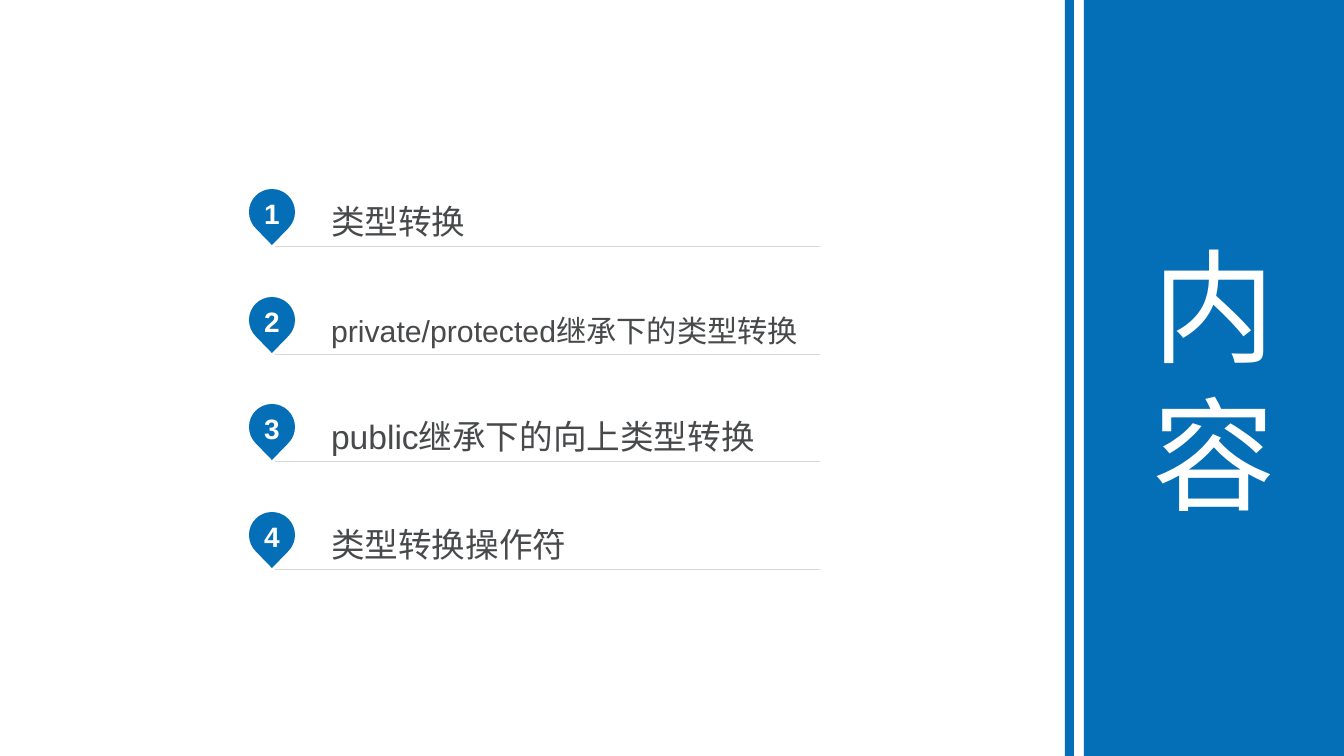
from math import cos, radians, sin, tan

from lxml import etree
from pptx import Presentation
from pptx.dml.color import RGBColor
from pptx.enum.shapes import MSO_SHAPE
from pptx.enum.text import MSO_ANCHOR, PP_ALIGN
from pptx.oxml.ns import qn
from pptx.util import Pt

RECT = MSO_SHAPE.RECTANGLE
MIDDLE = MSO_ANCHOR.MIDDLE
LEFT, CENTER = PP_ALIGN.LEFT, PP_ALIGN.CENTER

WIDE, HIGH = 1344, 756
SCALE = 12192000 / WIDE
COLORS = {"blue": "046FB6", "white": "FFFFFF", "text": "47494B", "rule": "D7D7D7"}

ITEMS = [
    ("类型转换", 24, 1.2),
    ("private/protected继承下的类型转换", 21.6, 1.3),
    ("public继承下的向上类型转换", 24, 1.2),
    ("类型转换操作符", 24, 1.2),
]
TOP, PITCH = 189, 215  # the pitch spans two rows
PIN_X, RADIUS, TIP = 272, 23, 33
RULE_X, RULE_END, ROW = 275, 820, 55
ARCS = {0: (90, 0), 1: (0, -45), 4: (225, 180), 5: (180, 90)}  # by segment number


def px(n):
    return round(n * SCALE)


def write(shape, text, size, color, align, insets, bold=False, spacing=None):
    """Put one styled paragraph in a shape; insets are left, top, right, bottom."""
    frame = shape.text_frame
    frame.word_wrap = True
    frame.vertical_anchor = MIDDLE
    (frame.margin_left, frame.margin_top,
     frame.margin_right, frame.margin_bottom) = map(px, insets)
    frame.text = text
    para = frame.paragraphs[0]
    para.alignment = align
    para.line_spacing = spacing
    font = para.runs[0].font
    font.name, font.size, font.bold = "Arial", Pt(size), bold
    font.color.rgb = RGBColor.from_string(COLORS[color])


deck = Presentation()
deck.slide_width, deck.slide_height = px(WIDE), px(HIGH)
shapes = deck.slides.add_slide(deck.slide_layouts[6]).shapes
blue = []

# Corners of a pin, measured from the centre of its round head
knots = [(RADIUS * cos(radians(a)), -RADIUS * sin(radians(a)))
         for a in (90, 0, -45, 225, 180, 90)]
knots.insert(3, (0, TIP))

for i, (label, size, spacing) in enumerate(ITEMS):
    top = TOP + (i * PITCH + 1) // 2
    spots = [(px(PIN_X + x), px(top + RADIUS + y)) for x, y in knots]
    path = shapes.build_freeform(*spots[0])
    path.add_line_segments(spots[1:], close=True)
    pin = path.convert_to_shape()

    # Bend the sides of the head into arcs
    sides = list(pin._element.iter(qn("a:lnTo")))
    for n, (start, end) in ARCS.items():
        reach = 4 / 3 * tan(radians(start - end) / 4) * RADIUS
        curve = etree.Element(qn("a:cubicBezTo"))
        for angle, (x, y), pull in ((start, knots[n], reach), (end, knots[n + 1], -reach)):
            etree.SubElement(curve, qn("a:pt"),
                             x=str(px(RADIUS + x + pull * sin(radians(angle)))),
                             y=str(px(RADIUS + y + pull * cos(radians(angle)))))
        curve.append(sides[n][0])
        sides[n].getparent().replace(sides[n], curve)
    write(pin, str(i + 1), 20, "white", CENTER, (10, 5, 10, 12), bold=True)
    blue.append(pin)

    # The row is outlined only along its base; a bare point sets its top
    left, right = px(RULE_X), px(RULE_END)
    roof, base = px(top + 2), px(top + 2 + ROW)
    path = shapes.build_freeform(left, base)
    path.add_line_segments([(right, base), (left, base)], close=True)
    path.move_to(left, roof)
    path.add_line_segments([(left, roof)], close=True)
    row = path.convert_to_shape()
    row.shadow.inherit = False
    row.fill.background()
    row.line.color.rgb = RGBColor.from_string(COLORS["rule"])
    row.line.width = Pt(0.25)
    write(row, label, size, "text", LEFT, (56, 0, 0, 3), spacing=spacing)

panel = shapes.add_shape(RECT, px(1084), 0, px(260), px(HIGH))
write(panel, "内容", 88, "white", CENTER, (40, 5, 40, 5))
stripe = shapes.add_shape(RECT, px(1065), 0, px(9), px(HIGH))

for shape in blue + [panel, stripe]:
    shape.shadow.inherit = False
    shape.fill.solid()
    shape.fill.fore_color.rgb = RGBColor.from_string(COLORS["blue"])
    shape.line.fill.background()

deck.save("out.pptx")
